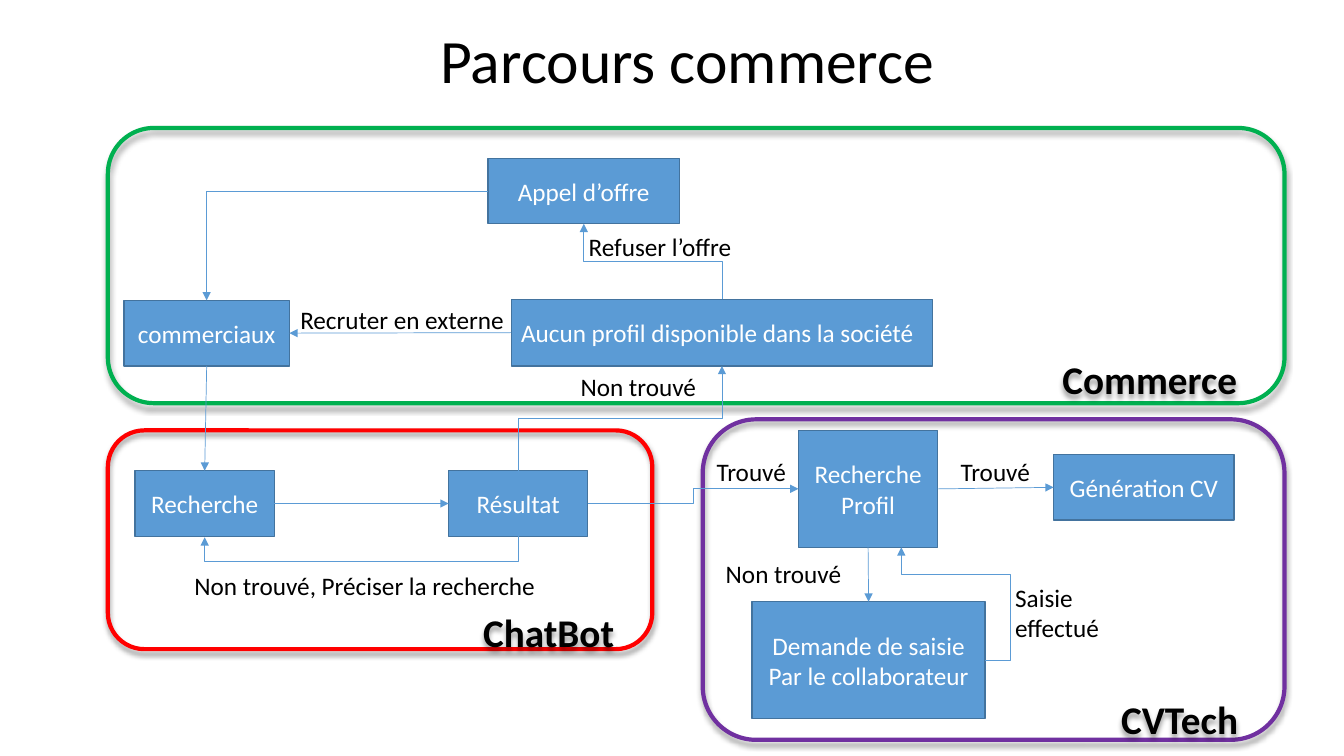
"""Build the slide that maps the sales journey across three systems."""
from dataclasses import dataclass

import lxml.etree
import pptx
import pptx.dml.color
import pptx.enum.shapes
import pptx.enum.text
import pptx.oxml.ns
import pptx.util

SCALE = 9144
TOP, LEFT, BOTTOM, RIGHT = range(4)
ALIGN = pptx.enum.text.PP_ALIGN
ANCHOR = pptx.enum.text.MSO_ANCHOR
SHAPE = pptx.enum.shapes.MSO_SHAPE
CONNECTOR = pptx.enum.shapes.MSO_CONNECTOR
qn = pptx.oxml.ns.qn


@dataclass(frozen=True)
class Theme:
    """Colours, font and type sizes of the slide."""
    font: str = "Calibri"
    title: int = 44
    heading: int = 28
    body: int = 18
    ink: str = "000000"
    paper: str = "FFFFFF"
    step: str = "5B9BD5"
    step_edge: str = "43739E"
    commerce: str = "00B050"
    chatbot: str = "FF0000"
    cvtech: str = "7030A0"


THEME = Theme()


def px(length):
    """Turn a length in px into EMU."""
    return pptx.util.Emu(length * SCALE)


def rgb(colour):
    """Turn a hex string into a colour."""
    return pptx.dml.color.RGBColor.from_string(colour)


def within(region, box):
    """Turn a box relative to a region into slide EMU."""
    left, top, width, height = box
    return px(region[0] + left), px(region[1] + top), px(width), px(height)


def write(shape, text, size, colour, align=ALIGN.LEFT, bold=False):
    """Set and format the text of a shape."""
    frame = shape.text_frame
    frame.text = text
    frame.word_wrap = True
    for paragraph in frame.paragraphs:
        paragraph.alignment = align
        for run in paragraph.runs:
            run.font.name = THEME.font
            run.font.size = pptx.util.Pt(size)
            run.font.bold = bold
            run.font.color.rgb = rgb(colour)


def cast_shadow(shape):
    """Give a shape a soft shadow straight below it."""
    shape.shadow.inherit = False
    effects = shape._element.spPr.find(qn("a:effectLst"))
    shadow = lxml.etree.SubElement(
        effects, qn("a:outerShdw"), blurRad=str(pptx.util.Pt(4)),
        dist=str(pptx.util.Pt(3)), dir="5400000", algn="t", rotWithShape="0")
    colour = lxml.etree.SubElement(shadow, qn("a:srgbClr"), val=THEME.ink)
    lxml.etree.SubElement(colour, qn("a:alpha"), val="40000")


def add_frame(slide, region, colour, name, name_box):
    """Draw the rounded outline of a region and its name."""
    frame = slide.shapes.add_shape(SHAPE.ROUNDED_RECTANGLE, *map(px, region))
    frame.fill.background()
    frame.line.color.rgb = rgb(colour)
    frame.line.width = pptx.util.Pt(3)
    cast_shadow(frame)
    heading = slide.shapes.add_textbox(*within(region, name_box))
    write(heading, name, THEME.heading, THEME.ink, ALIGN.RIGHT, True)
    text_frame = heading.text_frame
    text_frame.margin_left = text_frame.margin_right = 0
    text_frame.margin_top = text_frame.margin_bottom = 0
    text_frame.vertical_anchor = ANCHOR.MIDDLE
    cast_shadow(heading)


def add_step(slide, region, box, text, align=ALIGN.CENTER):
    """Draw one step of the journey."""
    step = slide.shapes.add_shape(SHAPE.RECTANGLE, *within(region, box))
    step.shadow.inherit = False
    step.fill.solid()
    step.fill.fore_color.rgb = rgb(THEME.step)
    step.line.color.rgb = rgb(THEME.step_edge)
    step.line.width = pptx.util.Pt(1)
    write(step, text, THEME.body, THEME.paper, align)
    step.text_frame.vertical_anchor = ANCHOR.MIDDLE
    return step


def add_labels(slide, region, labels):
    """Write the labels that stand beside the arrows."""
    for text, box in labels:
        label = slide.shapes.add_textbox(*within(region, box))
        write(label, text, THEME.body, THEME.ink)


def draw_title(slide, box):
    """Place and format the slide title."""
    title = slide.shapes.title
    title.left, title.top, title.width, title.height = map(px, box)
    write(title, "Parcours commerce", THEME.title, THEME.ink, ALIGN.CENTER)
    title.text_frame.vertical_anchor = ANCHOR.MIDDLE
    title.text_frame.paragraphs[0].line_spacing = 0.9


def draw_cvtech(slide, box):
    """Draw the CV region and return its steps."""
    add_frame(slide, box, THEME.cvtech, "CVTech", (331, 273, 200, 48))
    profile = add_step(slide, box, (95, 11, 138, 116), "Recherche Profil")
    resume = add_step(slide, box, (348, 35, 179, 65), "Génération CV")
    request = add_step(slide, box, (49, 181, 231, 116),
                       "Demande de saisie\nPar le collaborateur")
    add_labels(slide, box, [("Trouvé", (4, 32, 106, 40)),
                            ("Trouvé", (246, 32, 100, 40)),
                            ("Non trouvé", (13, 133, 136, 40)),
                            ("Saisie\neffectué", (300, 157, 171, 71))])
    return profile, resume, request


def draw_chatbot(slide, box):
    """Draw the chat region and return its steps."""
    add_frame(slide, box, THEME.chatbot, "ChatBot", (302, 176, 200, 48))
    search = add_step(slide, box, (27, 40, 138, 65), "Recherche")
    result = add_step(slide, box, (338, 40, 138, 65), "Résultat")
    add_labels(slide, box, [("Non trouvé, Préciser la recherche", (76, 134, 370, 40))])
    return search, result


def draw_commerce(slide, box):
    """Draw the sales region and return its steps."""
    add_frame(slide, box, THEME.commerce, "Commerce", (920, 225, 200, 48))
    sales = add_step(slide, box, (16, 171, 164, 65), "commerciaux")
    tender = add_step(slide, box, (377, 30, 190, 65), "Appel d’offre")
    nobody = add_step(slide, box, (400, 170, 418, 66),
                      "Aucun profil disponible dans la société", ALIGN.LEFT)
    add_labels(slide, box, [("Refuser l’offre", (467, 98, 181, 40)),
                            ("Recruter en externe", (181, 170, 223, 40)),
                            ("Non trouvé", (459, 236, 136, 40))])
    return sales, tender, nobody


def side(shape, index, right=0, down=0):
    """Return the middle of a shape's side, shifted by some px."""
    across, along = {TOP: (1, 0), LEFT: (0, 1), BOTTOM: (1, 2), RIGHT: (2, 1)}[index]
    return (shape.left + shape.width * across // 2 + px(right),
            shape.top + shape.height * along // 2 + px(down))


def style_arrow(connector):
    """Give a connector its thin line and arrowhead."""
    connector.line.color.rgb = rgb(THEME.step)
    connector.line.width = pptx.util.Pt(0.5)
    lxml.etree.SubElement(connector.line._get_or_add_ln(), qn("a:tailEnd"), type="triangle")
    lxml.etree.SubElement(connector._element.spPr, qn("a:effectLst"))


def add_straight(slide, start, start_side, end, end_side):
    """Join two steps with a straight arrow."""
    connector = slide.shapes.add_connector(
        CONNECTOR.STRAIGHT, *side(start, start_side), *side(end, end_side))
    connector.begin_connect(start, start_side)
    connector.end_connect(end, end_side)
    style_arrow(connector)


def add_elbow(slide, begin, end, preset="bentConnector3", bends=(), vertical=False):
    """Draw a bent arrow, leaving its start vertically if asked."""
    connector = slide.shapes.add_connector(CONNECTOR.ELBOW, *begin, *end)
    properties = connector._element.spPr
    geometry = properties.find(qn("a:prstGeom"))
    geometry.set("prst", preset)
    for number, bend in enumerate(bends, 1):
        lxml.etree.SubElement(geometry.find(qn("a:avLst")), qn("a:gd"),
                              name=f"adj{number}", fmla=f"val {round(bend * 100000)}")
    if vertical:
        run, drop = end[0] - begin[0], end[1] - begin[1]
        connector.left = (begin[0] + end[0] - abs(drop)) // 2
        connector.top = (begin[1] + end[1] - abs(run)) // 2
        connector.width, connector.height = abs(drop), abs(run)
        transform = properties.find(qn("a:xfrm"))
        transform.set("rot", str((90 if drop > 0 else 270) * 60000))
        transform.set("flipH", "0")
        transform.set("flipV", "1" if (run > 0) == (drop > 0) else "0")
    style_arrow(connector)


def draw_arrows(slide, commerce, chatbot, cvtech):
    """Link the steps within and across the regions."""
    sales, tender, nobody = commerce
    search, result = chatbot
    profile, resume, request = cvtech
    add_straight(slide, sales, BOTTOM, search, TOP)
    add_straight(slide, search, RIGHT, result, LEFT)
    add_straight(slide, profile, RIGHT, resume, LEFT)
    add_straight(slide, nobody, LEFT, sales, RIGHT)
    add_straight(slide, profile, BOTTOM, request, TOP)
    add_elbow(slide, side(result, BOTTOM), side(search, BOTTOM, down=1),
              bends=(25,), vertical=True)
    add_elbow(slide, side(result, TOP), side(nobody, BOTTOM), vertical=True)
    add_elbow(slide, side(nobody, TOP), side(tender, BOTTOM), vertical=True)
    add_elbow(slide, side(tender, LEFT), side(sales, TOP), "bentConnector2")
    add_elbow(slide, side(result, RIGHT), side(profile, LEFT))
    add_elbow(slide, side(request, RIGHT), side(profile, BOTTOM, right=33),
              "bentConnector4", (-0.3, 0.76))


def main():
    """Build the slide and save it."""
    presentation = pptx.Presentation()
    presentation.slide_width, presentation.slide_height = px(1333), px(750)
    slide = presentation.slides.add_slide(presentation.slide_layouts[5])
    draw_title(slide, (107, 9, 1150, 109))
    cvtech = draw_cvtech(slide, (697, 416, 577, 318))
    chatbot = draw_chatbot(slide, (107, 427, 540, 217))
    commerce = draw_commerce(slide, (107, 127, 1167, 273))
    draw_arrows(slide, commerce, chatbot, cvtech)
    presentation.save("out.pptx")


if __name__ == "__main__":
    main()
